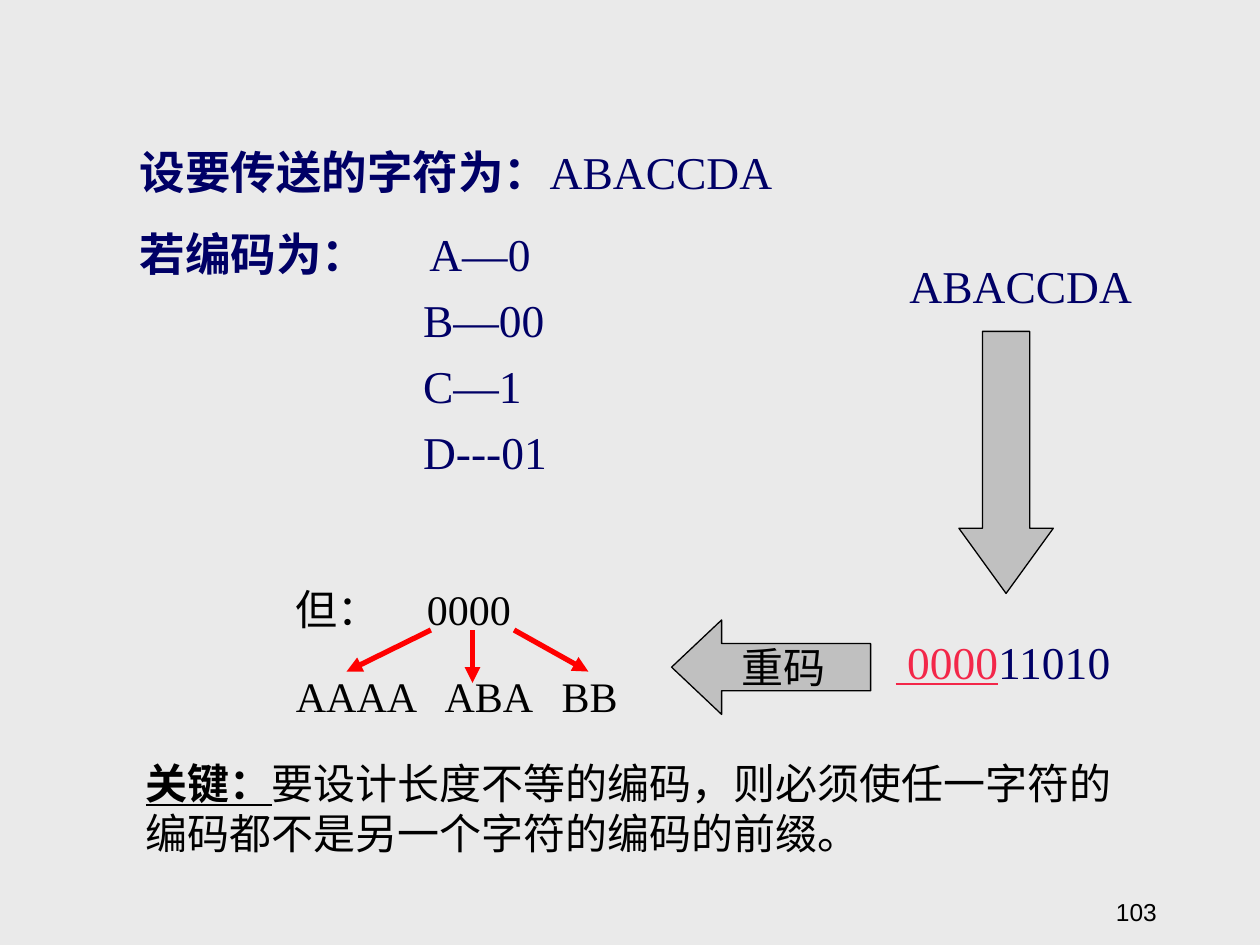
"""Build the slide on ambiguous variable-length codes and the prefix rule."""
from lxml.etree import SubElement
from pptx import Presentation
from pptx.dml.color import RGBColor
from pptx.enum.shapes import MSO_CONNECTOR as Connector, MSO_SHAPE as Shape
from pptx.enum.text import MSO_ANCHOR as Anchor, PP_ALIGN as Align
from pptx.oxml.ns import qn
from pptx.util import Inches, Pt

PAPER = RGBColor(0xEA, 0xEA, 0xEA)
NAVY = RGBColor(0x00, 0x00, 0x66)
BLACK = RGBColor(0x00, 0x00, 0x00)
GREY = RGBColor(0xC0, 0xC0, 0xC0)
RED = RGBColor(0xFF, 0x00, 0x00)
CRIMSON = RGBColor(0xF3, 0x27, 0x49)
SERIF = "Times New Roman"

BOLD = {"bold": True}
KEY = {"bold": True, "underline": True}
CLASH = {"underline": True, "color": CRIMSON}

CODE_TAB = [2.25]
TEXTS = [
    {"at": (1.01, 0.96, 7.33, 3.41), "size": 26, "color": NAVY, "before": 6.5, "lines": [
        {"spans": [("设要传送的字符为：", BOLD), ("ABACCDA", {})], "spacing": 1.3},
        {"spans": [("若编码为：", BOLD), ("\tA—0", {})], "tabs": [2.3], "spacing": 1.3},
        {"spans": [("\tB—00", {})], "tabs": CODE_TAB},
        {"spans": [("\tC—1", {})], "tabs": CODE_TAB},
        {"spans": [("\tD---01", {})], "tabs": CODE_TAB}]},
    {"at": (1.06, 5.96, 8.02, 0.9), "size": 24, "color": BLACK, "lines": [
        {"spans": [("关键：", KEY),
                   ("要设计长度不等的编码，则必须使任一字符的编码都不是另一个字符的编码的前缀。", {})]}]},
    {"at": (7.12, 2, 2, 0.54), "size": 26, "color": NAVY, "lines": [
        {"spans": [("ABACCDA", {})]}]},
    {"at": (7.01, 4.98, 2.12, 0.54), "size": 26, "color": NAVY, "lines": [
        {"spans": [(" 0000", CLASH), ("11010", {})]}]},
    {"at": (2.25, 4.58, 3.42, 1.19), "size": 24, "color": BLACK, "before": 21, "lines": [
        {"spans": [("但：\t0000", {})], "tabs": [1.04]},
        {"spans": [("AAAA\tABA\tBB", {})], "tabs": [1.18, 2.11]}]},
    {"at": (7.2, 6.9, 2.08, 0.5), "size": 14, "color": BLACK, "font": "Arial",
     "anchor": Anchor.BOTTOM, "align": Align.RIGHT, "lines": [{"spans": [("103", {})]}]},
]

BLOCK_ARROWS = [
    (Shape.DOWN_ARROW, (7.61, 2.63, 0.75, 2.08), 0.69, ""),
    (Shape.LEFT_ARROW, (5.33, 4.92, 1.58, 0.75), 0.53, "重码"),
]
DECODINGS = [
    ((3.42, 5), (2.75, 5.33)),
    ((3.75, 5), (3.75, 5.42)),
    ((4.08, 5), (4.67, 5.33)),
]


def set_font(font, size, color, name=SERIF):
    font.size, font.name = Pt(size), name
    font.color.rgb = color


def add_tabs(para, stops):
    tabs = SubElement(para._p.get_or_add_pPr(), qn("a:tabLst"))
    for stop in stops:
        SubElement(tabs, qn("a:tab"), pos=str(Inches(stop)), algn="l")


def add_text(page, text):
    frame = page.shapes.add_textbox(*map(Inches, text["at"])).text_frame
    frame.word_wrap = True
    frame.vertical_anchor = text.get("anchor", Anchor.TOP)
    for index, line in enumerate(text["lines"]):
        para = frame.add_paragraph() if index else frame.paragraphs[0]
        if "tabs" in line:
            add_tabs(para, line["tabs"])
        set_font(para.font, text["size"], text["color"], text.get("font", SERIF))
        para.alignment = text.get("align", Align.LEFT)
        para.line_spacing = line.get("spacing", 1.0)
        para.space_before = Pt(text["before"] if index else 0)
        for words, style in line["spans"]:
            span = para.add_run()
            span.text = words
            span.font.bold = style.get("bold")
            span.font.underline = style.get("underline")
            if "color" in style:
                span.font.color.rgb = style["color"]


def add_block_arrow(page, kind, at, head, label):
    arrow = page.shapes.add_shape(kind, *map(Inches, at))
    arrow.adjustments[0], arrow.adjustments[1] = 0.5, head
    arrow.shadow.inherit = False
    arrow.fill.solid()
    arrow.fill.fore_color.rgb = GREY
    arrow.line.color.rgb = BLACK
    arrow.line.width = Pt(0.75)
    if label:
        frame = arrow.text_frame
        frame.word_wrap = False
        frame.vertical_anchor = Anchor.MIDDLE
        para = frame.paragraphs[0]
        para.text = label
        para.alignment = Align.CENTER
        set_font(para.font, 24, BLACK)


def add_decoding(page, start, end):
    line = page.shapes.add_connector(Connector.STRAIGHT, *map(Inches, start + end))
    line.line.color.rgb = RED
    line.line.width = Pt(3)
    SubElement(line.line._get_or_add_ln(), qn("a:tailEnd"), type="triangle")
    SubElement(line._element.spPr, qn("a:effectLst"))


def main():
    deck = Presentation()
    deck.slide_width, deck.slide_height = Inches(10), Inches(7.5)
    page = deck.slides.add_slide(deck.slide_layouts[6])
    page.background.fill.solid()
    page.background.fill.fore_color.rgb = PAPER
    for text in TEXTS:
        add_text(page, text)
    for arrow in BLOCK_ARROWS:
        add_block_arrow(page, *arrow)
    for start, end in DECODINGS:
        add_decoding(page, start, end)
    deck.save("out.pptx")


if __name__ == "__main__":
    main()
